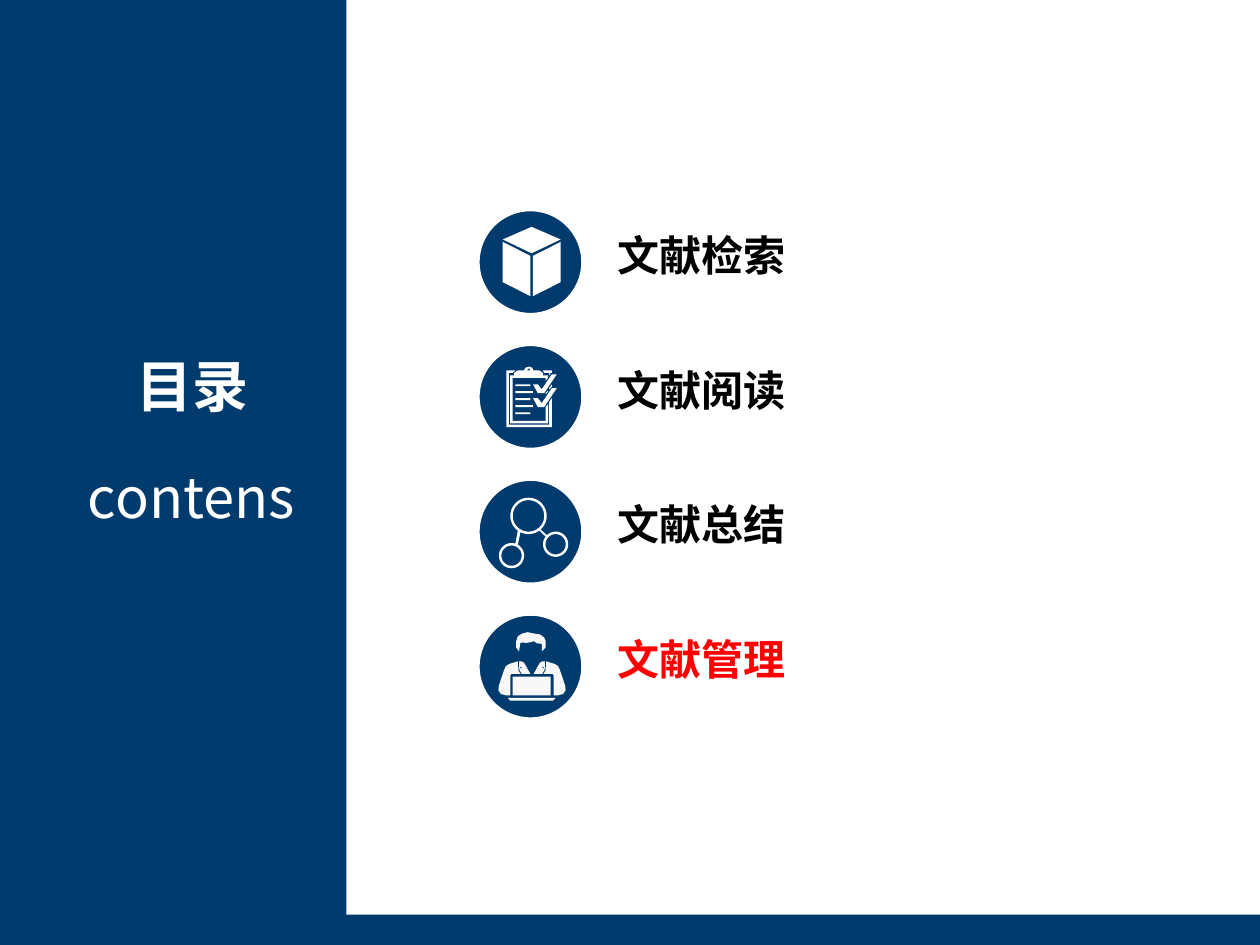
from math import cos, pi, sin

from lxml import etree
from pptx import Presentation
from pptx.dml.color import RGBColor
from pptx.enum.shapes import MSO_SHAPE
from pptx.enum.text import MSO_AUTO_SIZE, PP_ALIGN
from pptx.oxml.ns import qn
from pptx.util import Pt

NAVY = RGBColor(0x01, 0x3B, 0x6D)
WHITE = RGBColor(0xFF, 0xFF, 0xFF)
OFF_WHITE = RGBColor(0xF8, 0xF8, 0xF8)
BLACK = RGBColor(0x00, 0x00, 0x00)
RED = RGBColor(0xFF, 0x00, 0x00)
FONT = "Noto Sans CJK SC"

prs = Presentation()
prs.slide_width, prs.slide_height = Pt(720), Pt(540)
s = prs.slides.add_slide(prs.slide_layouts[6])


def paint(sp, fill):
    sp.shadow.inherit = False
    sp.fill.solid()
    sp.fill.fore_color.rgb = fill
    sp.line.fill.background()


def add_text(text, x, y, w, h, size, color, bold, align):
    tf = s.shapes.add_textbox(Pt(x), Pt(y), Pt(w), Pt(h)).text_frame
    tf.word_wrap = False
    tf.auto_size = MSO_AUTO_SIZE.SHAPE_TO_FIT_TEXT
    tf.text = text
    p = tf.paragraphs[0]
    p.alignment = align
    font = p.runs[0].font
    font.size, font.bold, font.name = Pt(size), bold, FONT
    font.color.rgb = color
    # East Asian text takes its typeface from a:ea
    etree.SubElement(p.runs[0]._r.rPr, qn("a:ea")).set("typeface", FONT)


# Side panel and bottom strip
for x, y, w, h in [(67, 522.72, 653, 17.28), (0, 0, 198, 540)]:
    paint(s.shapes.add_shape(MSO_SHAPE.RECTANGLE, Pt(x), Pt(y), Pt(w), Pt(h)), NAVY)

add_text("目录", 70.56, 197.28, 78.48, 46.08, 32, WHITE, True, PP_ALIGN.CENTER)
add_text("contens", 42.48, 260.64, 133.92, 46.08, 32, WHITE, False, PP_ALIGN.CENTER)

# Icons are lists of closed outlines, in points from the corner of their disc
cube = [
    [(46.8, 41), (31, 49), (31, 26), (46.8, 18)],
    [(29.5, 26), (13.7, 18), (13.7, 41), (29.5, 49)],
    [(30.2, 9.4), (13.7, 16.6), (30.2, 24.5), (46.8, 16.6)],
]

tick = [(44.6, 16.6), (37.4, 27.4), (33.8, 27.4), (31, 22.3),
        (33.8, 22.3), (36, 25.2), (41.8, 16.6)]
clipboard = [
    # outer and inner frame, open on the right for the ticks
    [(19.4, 15.8), (20.9, 14.4), (15.8, 14.4), (15.8, 46.8), (41.8, 46.8),
     (41.8, 30.2), (40.3, 32.4), (40.3, 45.4), (17.3, 45.4), (17.3, 15.8)],
    [(38.2, 43.2), (19.4, 43.2), (19.4, 18.7), (38.2, 18.7), (38.2, 20.2),
     (39.6, 18.7), (39.6, 17.3), (18, 17.3), (18, 44.6), (39.6, 44.6),
     (39.6, 33.8), (38.2, 35.3)],
    [(41, 15.8), (41.8, 15.8), (41.8, 14.4), (36.7, 14.4), (37.4, 15.8),
     (40.3, 15.8), (40.3, 17.3)],
    # frame pieces between the ticks
    [(40.3, 25.2), (41.8, 23.8), (41.8, 22.3), (40.3, 24.5)],
    [(39.6, 25.9), (38.2, 27.4), (38.2, 28.1), (39.6, 26.6)],
    # clip and its hole
    [(20.2, 17.3), (20.2, 15.8), (22.3, 14.4), (25.9, 14.4), (26.6, 12.9),
     (28.8, 12.2), (30.6, 12.9), (31.3, 14.4), (34.6, 14.4), (36.7, 15.8),
     (36.7, 17.3)],
    [(27.4, 14.4), (28.8, 13), (29.5, 14.4)],
    tick,
    [(x, y + 7.9) for x, y in tick],
]
for i in range(5):
    top, right = 22.3 + 4 * i, 31 if i % 2 else 29.5
    clipboard.append([(20.9, top), (right, top), (right, top + 1.1), (20.9, top + 1.1)])

network = [
    [(22.3, 28.9), (20.9, 36.3), (22.3, 36.9), (23.8, 29.8)],
    [(35.3, 28.3), (38.9, 31.5), (38.2, 32.3), (34.6, 28.9)],
]
for cx, cy, radius in [(28.4, 20.5, 10.4), (43.9, 36.7, 7.2), (18.7, 43.2, 7.2)]:
    for r in (radius, radius - 1.4):
        network.append([(cx + r * cos(pi * k / 24), cy + r * sin(pi * k / 24))
                        for k in range(48)])

arm = [(18, 46.1), (15.8, 46.1), (12.5, 45.2), (11.2, 43), (11.5, 40.3),
       (14.4, 31.7), (15.5, 29.3), (17.3, 28.1), (22.3, 26.6), (22.3, 30.2),
       (23.8, 30.2), (22.3, 31), (23.8, 33.8), (18.7, 33.8), (18, 34.6)]
lapel = [(23, 26.6), (23, 30.2), (24.5, 29.5), (24.5, 30.2), (23, 31),
         (24.5, 33.8), (29.5, 33.8), (25.9, 27.4), (24.5, 26.6)]
hair = [(23, 20.9), (23.8, 15.8), (27.5, 16), (31.7, 15.1), (33, 16.2),
        (36, 16.6), (36, 20.9), (38.2, 18.7), (38.2, 15), (37.4, 13),
        (35, 11.2), (31, 10.6), (28, 9.9), (25, 10.6), (22.3, 12.2),
        (21.4, 15), (21.4, 18.7)]
worker = [
    hair,
    [(19.4, 35.3), (41, 35.3), (41, 46.1), (19.4, 46.1)],
    [(16.6, 47.5), (43.9, 47.5), (42.5, 49), (18, 49)],
]
for half in (arm, lapel):
    worker += [half, [(60.8 - x, y) for x, y in half]]

topics = [
    ("文献检索", cube, WHITE, BLACK),
    ("文献阅读", clipboard, WHITE, BLACK),
    ("文献总结", network, WHITE, BLACK),
    ("文献管理", worker, OFF_WHITE, RED),
]
LEFT, TOP, PITCH, DISC = 273.6, 120.24, 77.04, 59.04
for i, (label, outlines, icon_color, text_color) in enumerate(topics):
    y0 = TOP + i * PITCH
    disc = s.shapes.add_shape(MSO_SHAPE.OVAL, Pt(LEFT), Pt(y0), Pt(DISC), Pt(DISC))
    paint(disc, NAVY)
    disc.line.color.rgb = WHITE
    disc.line.width = Pt(1)

    contours = [[(Pt(x), Pt(y)) for x, y in outline] for outline in outlines]
    fb = s.shapes.build_freeform(*contours[0][0])
    fb.add_line_segments(contours[0][1:], close=True)
    for contour in contours[1:]:
        fb.move_to(*contour[0])
        fb.add_line_segments(contour[1:], close=True)
    paint(fb.convert_to_shape(Pt(LEFT), Pt(y0)), icon_color)

    add_text(label, 345.6, y0 + 7.2, 110.16, 36, 24, text_color, True, PP_ALIGN.LEFT)

prs.save("out.pptx")
